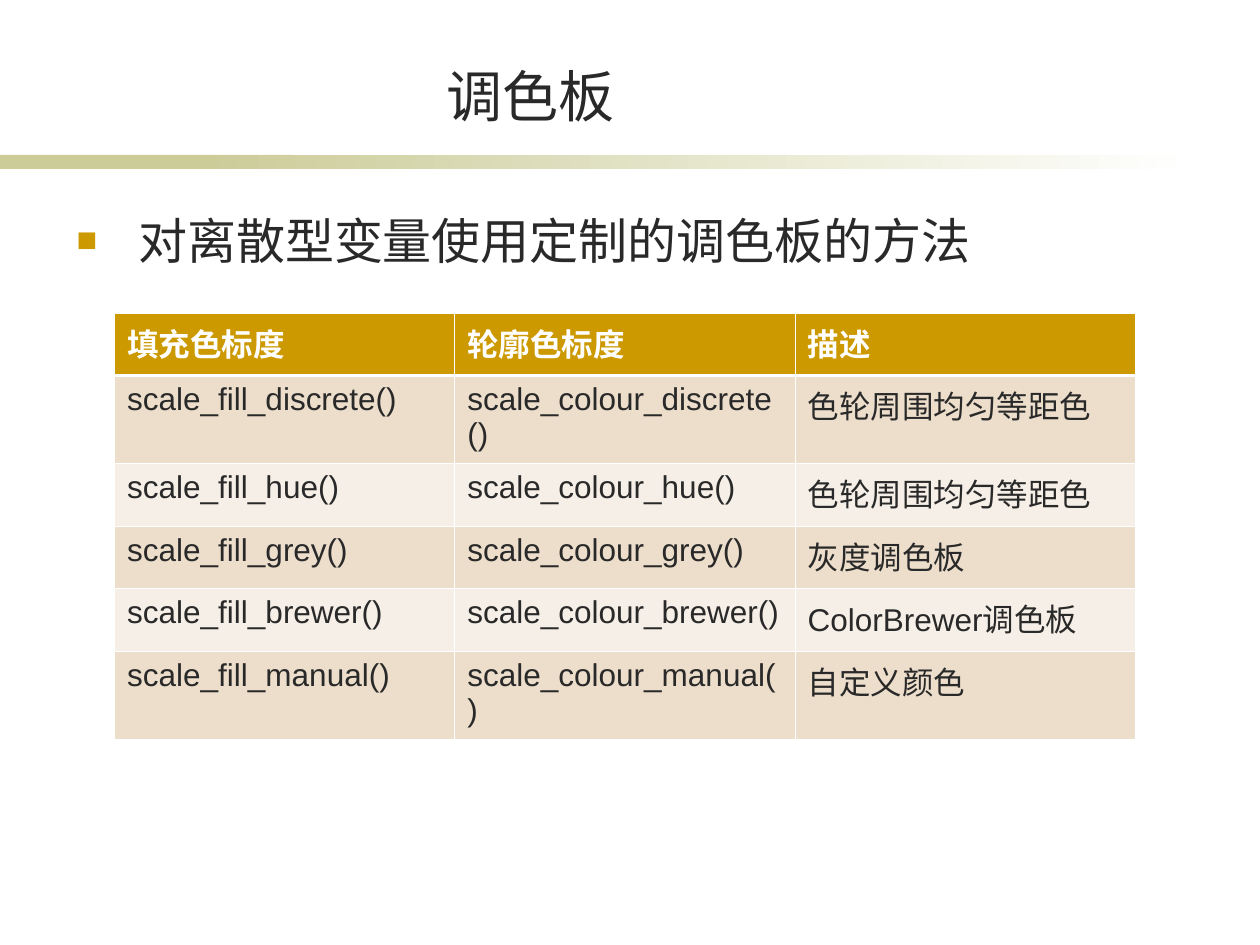
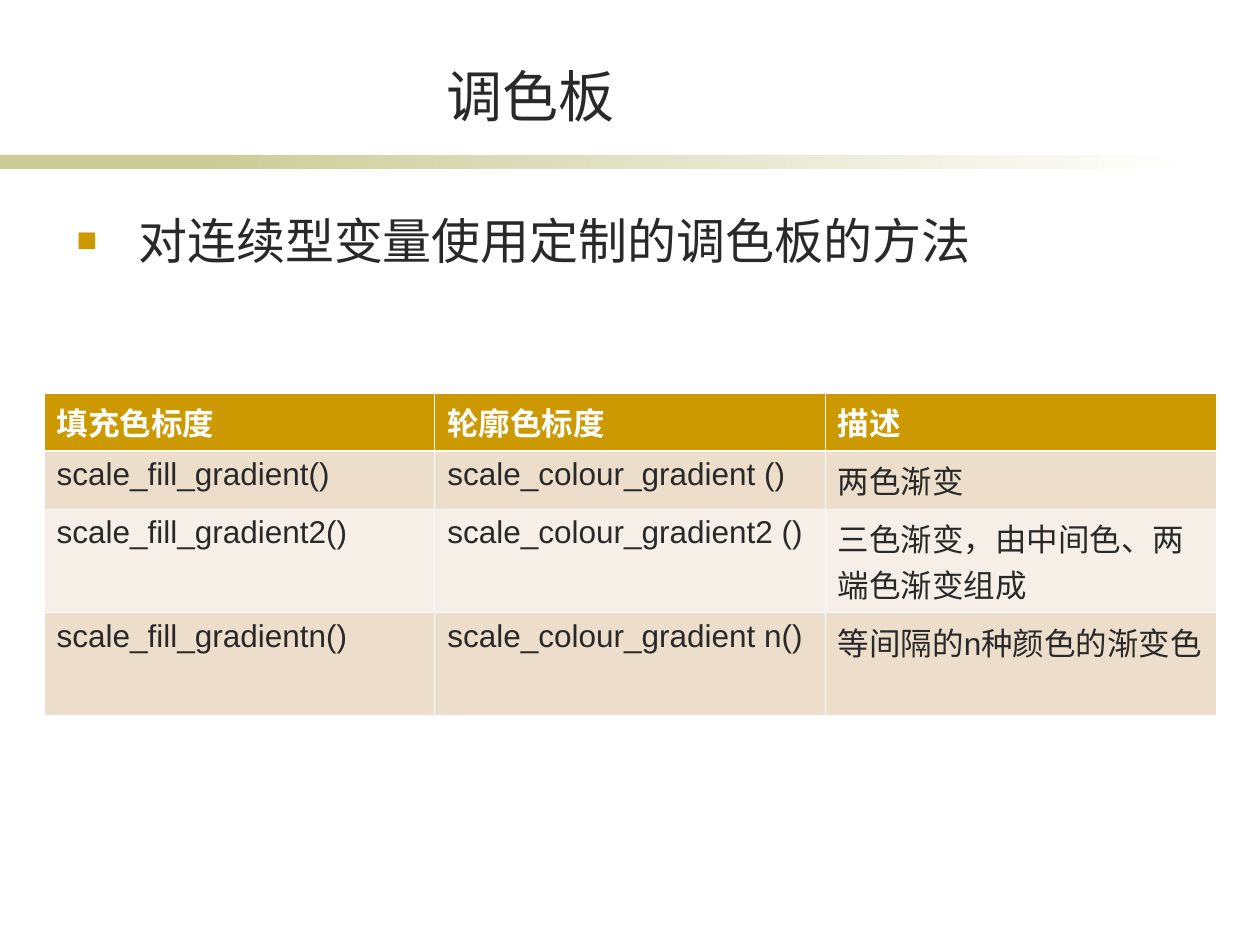
from dataclasses import dataclass

from lxml import etree
from pptx import Presentation
from pptx.dml.color import RGBColor
from pptx.enum.shapes import MSO_SHAPE
from pptx.enum.text import MSO_ANCHOR, PP_ALIGN
from pptx.oxml.ns import qn
from pptx.util import Inches, Pt

RECT = MSO_SHAPE.RECTANGLE
LEFT, CENTER = PP_ALIGN.LEFT, PP_ALIGN.CENTER
TOP, BOTTOM = MSO_ANCHOR.TOP, MSO_ANCHOR.BOTTOM


@dataclass(frozen=True)
class Theme:
    font: str = "Arial"
    ink: str = "292929"
    white: str = "FFFFFF"
    gold: str = "CC9900"
    olive: str = "CCCC99"
    bands: tuple[str, str] = ("ECDECB", "F6EFE7")
    title: int = 32
    body: int = 28
    cell: int = 18
    thin: float = 0.45
    thick: float = 1.47


@dataclass(frozen=True)
class Box:
    left: float
    top: float
    width: float
    height: float

    def emu(self) -> tuple:
        return tuple(map(Inches, (self.left, self.top, self.width, self.height)))


@dataclass(frozen=True)
class Page:
    point: str
    left: float
    top: float
    cols: tuple[float, ...]
    heights: tuple[float, ...]
    rows: tuple[tuple[str, str, str], ...]


THEME = Theme()
TITLE = "调色板"
HEADS = ("填充色标度", "轮廓色标度", "描述")
TITLE_BOX = Box(1.14, 0.44, 6.14, 0.63)
POINT_BOX = Box(0.51, 1.62, 8.9, 4.8)
SOLID_BAR = Box(0, 1.23, 2.33, 0.11)
FADE_BAR = Box(1.58, 1.23, 7.92, 0.11)

PAGES = (
    Page(
        "对离散型变量使用定制的调色板的方法",
        0.91, 2.49, (2.7, 2.7, 2.7), (0.49, 0.7, 0.5, 0.49, 0.5, 0.7),
        (
            ("scale_fill_discrete()", "scale_colour_discrete()", "色轮周围均匀等距色"),
            ("scale_fill_hue()", "scale_colour_hue()", "色轮周围均匀等距色"),
            ("scale_fill_grey()", "scale_colour_grey()", "灰度调色板"),
            ("scale_fill_brewer()", "scale_colour_brewer()", "ColorBrewer调色板"),
            ("scale_fill_manual()", "scale_colour_manual()", "自定义颜色"),
        ),
    ),
    Page(
        "对连续型变量使用定制的调色板的方法",
        0.35, 3.12, (3.1, 3.1, 3.1), (0.46, 0.46, 0.82, 0.82),
        (
            ("scale_fill_gradient()", "scale_colour_gradient ()", "两色渐变"),
            ("scale_fill_gradient2()", "scale_colour_gradient2 ()",
             "三色渐变，由中间色、两端色渐变组成"),
            ("scale_fill_gradientn()", "scale_colour_gradient n()",
             "等间隔的n种颜色的渐变色"),
        ),
    ),
)


def rgb(code: str) -> RGBColor:
    return RGBColor.from_string(code)


def write(frame, text: str, *, size: int, color: str = THEME.ink,
          bold: bool = False, align=LEFT, anchor=None):
    """Put one formatted paragraph in a text frame."""
    frame.word_wrap = True
    if anchor is not None:
        frame.vertical_anchor = anchor
    para = frame.paragraphs[0]
    para.alignment = align
    run = para.add_run()
    run.text = text
    run.font.name = THEME.font
    run.font.size = Pt(size)
    run.font.bold = bold
    run.font.color.rgb = rgb(color)
    return para


def add_bullet(para) -> None:
    para.space_before = Pt(7)
    props = para._p.get_or_add_pPr()
    props.set("marL", str(Inches(0.49)))
    props.set("indent", str(-Inches(0.49)))
    tint = etree.SubElement(props, qn("a:buClr"))
    etree.SubElement(tint, qn("a:srgbClr"), val=THEME.gold)
    etree.SubElement(props, qn("a:buSzPct"), val="70000")
    etree.SubElement(props, qn("a:buFont"), typeface=THEME.font)
    etree.SubElement(props, qn("a:buChar"), char="■")


def add_bar(slide, box: Box, fade: bool = False) -> None:
    bar = slide.shapes.add_shape(RECT, *box.emu())
    bar.shadow.inherit = False
    bar.line.fill.background()
    if fade:
        bar.fill.gradient()
        bar.fill.gradient_angle = 0
        for stop, color in zip(bar.fill.gradient_stops, (THEME.olive, THEME.white)):
            stop.color.rgb = rgb(color)
    else:
        bar.fill.solid()
        bar.fill.fore_color.rgb = rgb(THEME.olive)


def add_edges(cell, row: int) -> None:
    """Draw white borders, thick between the head and the first row."""
    props = cell._tc.get_or_add_tcPr()
    thick = {"T": row == 1, "B": row == 0}
    for side in "LRTB":
        width = THEME.thick if thick.get(side) else THEME.thin
        edge = etree.SubElement(props, qn(f"a:ln{side}"), w=str(Pt(width)))
        fill = etree.SubElement(edge, qn("a:solidFill"))
        etree.SubElement(fill, qn("a:srgbClr"), val=THEME.white)


def add_grid(slide, page: Page) -> None:
    data = (HEADS, *page.rows)
    box = Box(page.left, page.top, sum(page.cols), sum(page.heights))
    grid = slide.shapes.add_table(len(data), len(HEADS), *box.emu()).table
    for col, width in zip(grid.columns, page.cols):
        col.width = Inches(width)
    for r, (texts, height) in enumerate(zip(data, page.heights)):
        grid.rows[r].height = Inches(height)
        head = r == 0
        for c, text in enumerate(texts):
            cell = grid.cell(r, c)
            add_edges(cell, r)
            cell.fill.solid()
            cell.fill.fore_color.rgb = rgb(THEME.gold if head else THEME.bands[(r - 1) % 2])
            write(cell.text_frame, text, size=THEME.cell, bold=head,
                  color=THEME.white if head else THEME.ink)


def add_page(deck, page: Page) -> None:
    slide = deck.slides.add_slide(deck.slide_layouts[6])
    # Band under the title
    add_bar(slide, SOLID_BAR)
    add_bar(slide, FADE_BAR, fade=True)
    # Title and point
    title = slide.shapes.add_textbox(*TITLE_BOX.emu())
    write(title.text_frame, TITLE, size=THEME.title, align=CENTER, anchor=BOTTOM)
    point = slide.shapes.add_textbox(*POINT_BOX.emu())
    add_bullet(write(point.text_frame, page.point, size=THEME.body, anchor=TOP))
    # Table of scales
    add_grid(slide, page)


def main() -> None:
    deck = Presentation()
    deck.slide_width, deck.slide_height = Inches(10), Inches(7.5)
    for page in PAGES:
        add_page(deck, page)
    deck.save("out.pptx")


if __name__ == "__main__":
    main()
